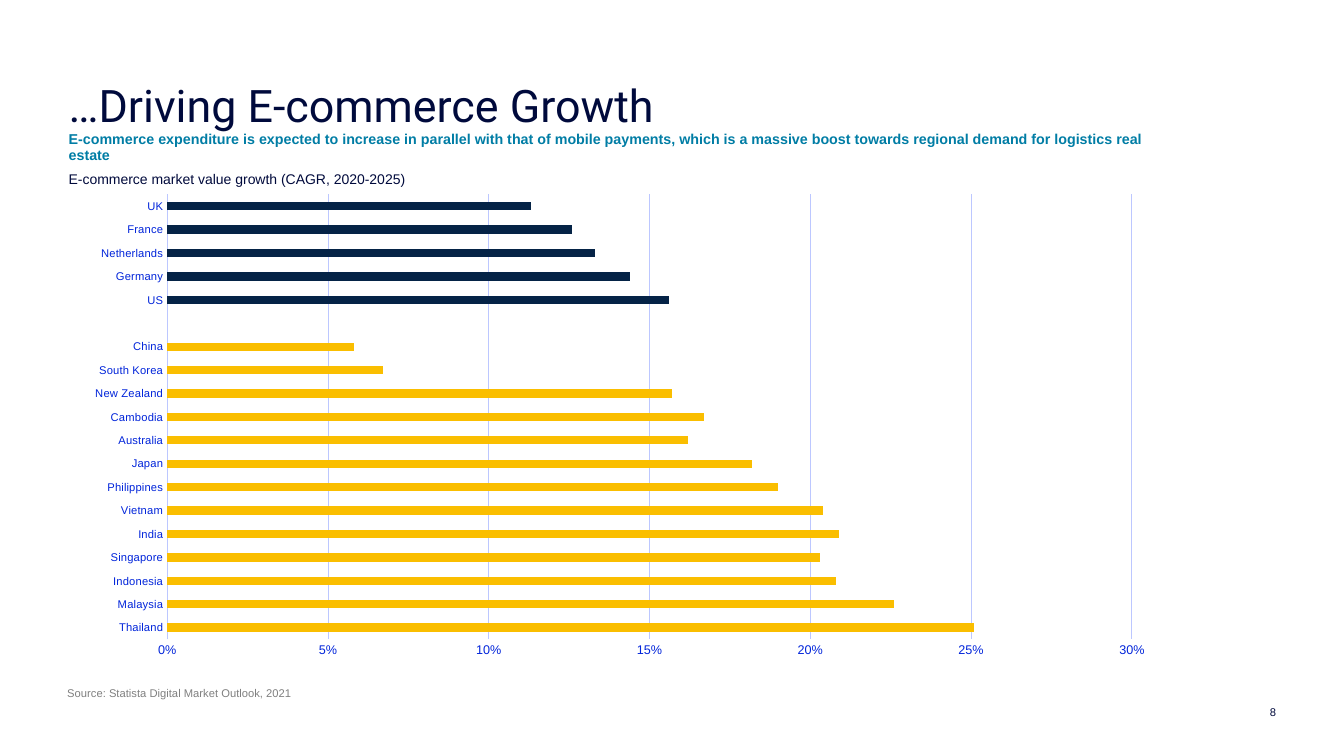
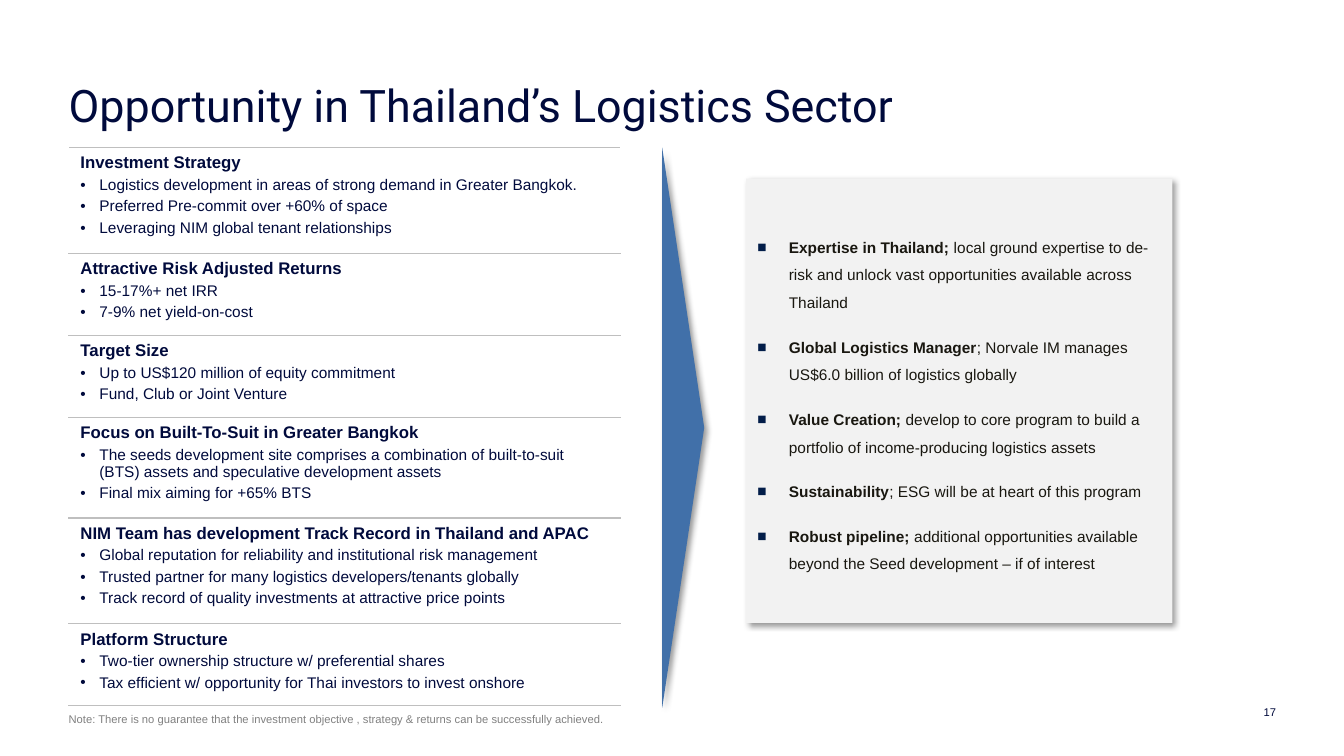
import pptx
import pptx.util
import pptx.chart.data
import pptx.enum.chart
import pptx.enum.shapes
import pptx.enum.text
import pptx.oxml
import pptx.oxml.ns
from pptx.dml.color import RGBColor
from pptx.util import Pt

ALIGN = pptx.enum.text.PP_ALIGN
ANCHOR = pptx.enum.text.MSO_ANCHOR
SHAPE = pptx.enum.shapes.MSO_SHAPE

# Shared style
NAVY = RGBColor(0x00, 0x0A, 0x3C)
TEAL = RGBColor(0x00, 0x7D, 0xA5)
GREY = RGBColor(0x80, 0x80, 0x80)
RULE = RGBColor(0xBF, 0xBF, 0xBF)
WHITE = RGBColor(0xFF, 0xFF, 0xFF)
AXIS_BLUE = RGBColor(0x00, 0x24, 0xDA)
GRID_BLUE = RGBColor(0xBC, 0xC7, 0xFF)
AMBER = RGBColor(0xFA, 0xBE, 0x00)
WESTERN_BLUE = RGBColor(0x05, 0x23, 0x46)
ARROW_BLUE = RGBColor(0x41, 0x70, 0xA9)
PANEL = RGBColor(0xF2, 0xF2, 0xF2)
PANEL_TEXT = RGBColor(0x19, 0x17, 0x10)
PANEL_BULLET = RGBColor(0x02, 0x1D, 0x49)
LEFT = 49
FONT = "Arial"

# Content: market growth, listed from the bottom bar up
ASIA_PACIFIC = [
    ("Thailand", 0.251), ("Malaysia", 0.226), ("Indonesia", 0.208),
    ("Singapore", 0.203), ("India", 0.209), ("Vietnam", 0.204),
    ("Philippines", 0.19), ("Japan", 0.182), ("Australia", 0.162),
    ("Cambodia", 0.167), ("New Zealand", 0.157), ("South Korea", 0.067),
    ("China", 0.058),
]
WESTERN = [
    ("US", 0.156), ("Germany", 0.144), ("Netherlands", 0.133),
    ("France", 0.126), ("UK", 0.113),
]
GROWTH = ASIA_PACIFIC + [("", None)] + WESTERN

# Content: row height, heading, bullets
STRATEGY = [
    (75.6, "Investment Strategy", [
        "Logistics development in areas of strong demand in Greater Bangkok.",
        "Preferred Pre-commit over +60% of space",
        "Leveraging NIM global tenant relationships"]),
    (58.5, "Attractive Risk Adjusted Returns", [
        "15-17%+ net IRR",
        "7-9% net yield-on-cost"]),
    (58.5, "Target Size", [
        "Up to US$120 million of equity commitment",
        "Fund, Club or Joint Venture"]),
    (72, "Focus on Built-To-Suit in Greater Bangkok", [
        "The seeds development site comprises a combination of built-to-suit "
        "(BTS) assets and speculative development assets",
        "Final mix aiming for +65% BTS"]),
    (75.6, "NIM Team has development Track Record in Thailand and APAC", [
        "Global reputation for reliability and institutional risk management",
        "Trusted partner for many logistics developers/tenants globally",
        "Track record of quality investments at attractive price points"]),
    (58.5, "Platform Structure", [
        "Two-tier ownership structure w/ preferential shares",
        "Tax efficient w/ opportunity for Thai investors to invest onshore"]),
]
STRENGTHS = [
    ("Expertise in Thailand; ", "local ground expertise to de-risk and unlock "
     "vast opportunities available across Thailand"),
    ("Global Logistics Manager", "; Norvale IM manages US$6.0 billion of "
     "logistics globally"),
    ("Value Creation; ", "develop to core program to build a portfolio of "
     "income-producing logistics assets"),
    ("Sustainability", "; ESG will be at heart of this program"),
    ("Robust pipeline; ", "additional opportunities available beyond the Seed "
     "development – if of interest"),
]


def add_xml(parent, xml):
    head, sep, tail = xml.partition(">")
    if head.endswith("/"):
        head, sep = head[:-1], "/>"
    prefix = head[1:].split(":")[0]
    names = pptx.oxml.ns.nsdecls(*{prefix, "a"})
    parent.append(pptx.oxml.parse_xml(f"{head} {names}{sep}{tail}"))


def write(tf, text, *, size, color=NAVY, font=FONT, bold=False, lead="",
          align=ALIGN.LEFT, spacing=None, after=None, indent=0, bullet=None,
          bullet_color=None):
    """Add a paragraph; lead is a bold opening before text."""
    p = tf.paragraphs[0]
    if p.runs:
        p = tf.add_paragraph()
    if bullet:
        pPr = p._p.get_or_add_pPr()
        pPr.set("marL", str(Pt(indent)))
        pPr.set("indent", str(-Pt(indent)))
        add_xml(pPr, f'<a:buClr><a:srgbClr val="{bullet_color or color}"/></a:buClr>')
        add_xml(pPr, f'<a:buFont typeface="{FONT}"/>')
        add_xml(pPr, f'<a:buChar char="{bullet}"/>')
    p.alignment = align
    if spacing:
        p.line_spacing = spacing
    if after is not None:
        p.space_after = Pt(after)
    for part, is_bold in ((lead, True), (text, bold)):
        if part:
            r = p.add_run()
            r.text = part
            r.font.name, r.font.size, r.font.bold = font, Pt(size), is_bold
            r.font.color.rgb = color


def set_frame(tf, margins=(0, 0, 0, 0), anchor=ANCHOR.TOP):
    tf.word_wrap = True
    tf.auto_size = pptx.enum.text.MSO_AUTO_SIZE.NONE
    tf.vertical_anchor = anchor
    (tf.margin_left, tf.margin_top,
     tf.margin_right, tf.margin_bottom) = map(Pt, margins)


def add_text(s, box, text, *, margins=(0, 0, 0, 0), anchor=ANCHOR.TOP, **style):
    tf = s.shapes.add_textbox(*map(Pt, box)).text_frame
    set_frame(tf, margins, anchor)
    write(tf, text, **style)


def add_slide(prs, title, number):
    s = prs.slides.add_slide(prs.slide_layouts[5])
    sp = s.shapes.title
    sp.left, sp.top, sp.width, sp.height = map(Pt, (LEFT, 27.5, 850, 67))
    set_frame(sp.text_frame, anchor=ANCHOR.BOTTOM)
    write(sp.text_frame, title, size=32, font="Roboto", spacing=0.9)
    add_text(s, (838, 505.5, 73.5, 6), number, size=8, align=ALIGN.RIGHT,
             anchor=ANCHOR.MIDDLE)
    return s


def add_shadowed(s, kind, box, color):
    sp = s.shapes.add_shape(kind, *map(Pt, box))
    sp.fill.solid()
    sp.fill.fore_color.rgb = color
    sp.line.fill.background()
    add_xml(sp._element.spPr,
            f'<a:effectLst><a:outerShdw blurRad="{Pt(4)}" dist="{Pt(3)}" '
            'dir="2700000" algn="tl" rotWithShape="0"><a:srgbClr val="000000">'
            '<a:alpha val="40000"/></a:srgbClr></a:outerShdw></a:effectLst>')
    return sp


def style_axis(axis, size):
    axis.major_tick_mark = axis.minor_tick_mark = pptx.enum.chart.XL_TICK_MARK.NONE
    font = axis.tick_labels.font
    font.name, font.size = FONT, Pt(size)
    font.color.rgb = AXIS_BLUE


def style_line(line):
    line.color.rgb = GRID_BLUE
    line.width = Pt(0.75)


def add_growth_chart(s):
    data = pptx.chart.data.CategoryChartData(number_format="0%")
    data.categories = [name for name, _ in GROWTH]
    data.add_series("Series 1", [value for _, value in GROWTH])
    chart = s.shapes.add_chart(
        pptx.enum.chart.XL_CHART_TYPE.BAR_CLUSTERED,
        *map(Pt, (LEFT, 132, 783, 345.5)), data).chart
    chart.has_legend = chart.has_title = False
    chart.font.name, chart.font.size = FONT, Pt(10)
    chart.font.color.rgb = NAVY

    # Bars
    plot = chart.plots[0]
    plot.gap_width = 182
    plot.vary_by_categories = False
    series = plot.series[0]
    series.format.fill.solid()
    series.format.fill.fore_color.rgb = AMBER
    for i in range(len(GROWTH) - len(WESTERN), len(GROWTH)):
        fill = series.points[i].format.fill
        fill.solid()
        fill.fore_color.rgb = WESTERN_BLUE

    # Axes
    style_axis(chart.category_axis, 8)
    style_line(chart.category_axis.format.line)
    axis = chart.value_axis
    style_axis(axis, 9)
    axis.minimum_scale, axis.maximum_scale, axis.major_unit = 0, 0.3, 0.05
    axis.tick_labels.number_format = "0%"
    axis.tick_labels.number_format_is_linked = False
    axis.format.line.fill.background()
    style_line(axis.major_gridlines.format.line)

    # Plot area
    area = chart._chartSpace.chart.plotArea
    for old in area.findall(pptx.oxml.ns.qn("c:layout")):
        area.remove(old)
    add_xml(area, '<c:layout><c:manualLayout><c:layoutTarget val="inner"/>'
            '<c:xMode val="edge"/><c:yMode val="edge"/><c:x val="0.09"/>'
            '<c:y val="0.02"/><c:w val="0.88"/><c:h val="0.92"/>'
            '</c:manualLayout></c:layout>')
    area.insert(0, area[-1])


def add_strategy_table(s):
    heights = [row[0] for row in STRATEGY]
    table = s.shapes.add_table(
        len(STRATEGY), 1, *map(Pt, (LEFT, 105.5, 394, sum(heights)))).table
    table.first_row = table.horz_banding = False
    for i, (height, heading, bullets) in enumerate(STRATEGY):
        table.rows[i].height = Pt(height)
        cell = table.cell(i, 0)
        for side in ("lnT", "lnB"):
            add_xml(cell._tc.get_or_add_tcPr(),
                    f'<a:{side} w="{Pt(1)}"><a:solidFill><a:srgbClr val="{RULE}"/>'
                    f'</a:solidFill></a:{side}>')
        cell.fill.solid()
        cell.fill.fore_color.rgb = WHITE
        cell.margin_left = cell.margin_right = Pt(8.5)
        cell.margin_top = cell.margin_bottom = Pt(4.25)
        write(cell.text_frame, heading, size=12, bold=True, after=3)
        for text in bullets:
            write(cell.text_frame, text, size=11, after=3, indent=13.5, bullet="•")


def build_growth(prs):
    s = add_slide(prs, "…Driving E-commerce Growth", "8")
    add_text(s, (LEFT, 113, 348, 29.5),
             "E-commerce market value growth (CAGR, 2020-2025)",
             size=10, anchor=ANCHOR.MIDDLE)
    add_text(s, (LEFT, 91.5, 796, 24),
             "E-commerce expenditure is expected to increase in parallel with "
             "that of mobile payments, which is a massive boost towards regional "
             "demand for logistics real estate",
             size=10.2, color=TEAL, bold=True, spacing=0.9, margins=(0, 3, 7, 3))
    add_text(s, (48, 487.5, 383, 28), "Source: Statista Digital Market Outlook, 2021",
             size=8, color=GREY, margins=(0, 3, 7, 3))
    add_growth_chart(s)


def build_opportunity(prs):
    s = add_slide(prs, "Opportunity in Thailand’s Logistics Sector", "17")
    add_strategy_table(s)
    add_shadowed(s, SHAPE.ISOSCELES_TRIANGLE, (288, 290.5, 400, 30),
                 ARROW_BLUE).rotation = 90
    tf = add_shadowed(s, SHAPE.RECTANGLE, (533, 127.5, 304.5, 317.5), PANEL).text_frame
    set_frame(tf, (8, 4, 8, 4), ANCHOR.MIDDLE)
    for lead, text in STRENGTHS:
        write(tf, text, lead=lead, size=11, color=PANEL_TEXT, spacing=1.5, after=12,
              indent=22.5, bullet="■", bullet_color=PANEL_BULLET)
    add_text(s, (LEFT, 508.5, 678, 9.5),
             "Note: There is no guarantee that the investment objective , strategy "
             "& returns can be successfully achieved.", size=8, color=GREY)


def main():
    prs = pptx.Presentation()
    prs.slide_width, prs.slide_height = Pt(960), Pt(540)
    build_growth(prs)
    build_opportunity(prs)
    prs.save("out.pptx")


if __name__ == "__main__":
    main()
